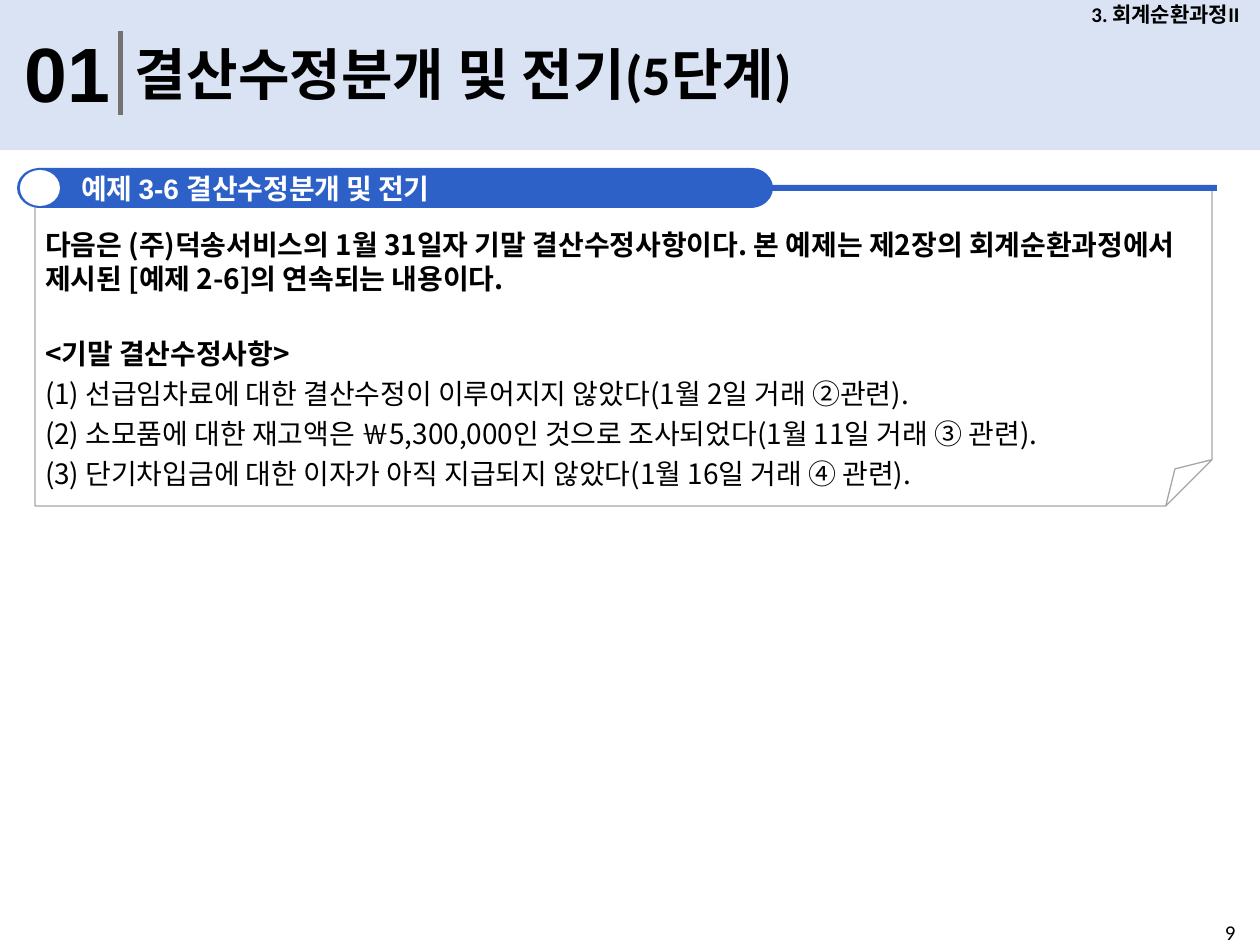
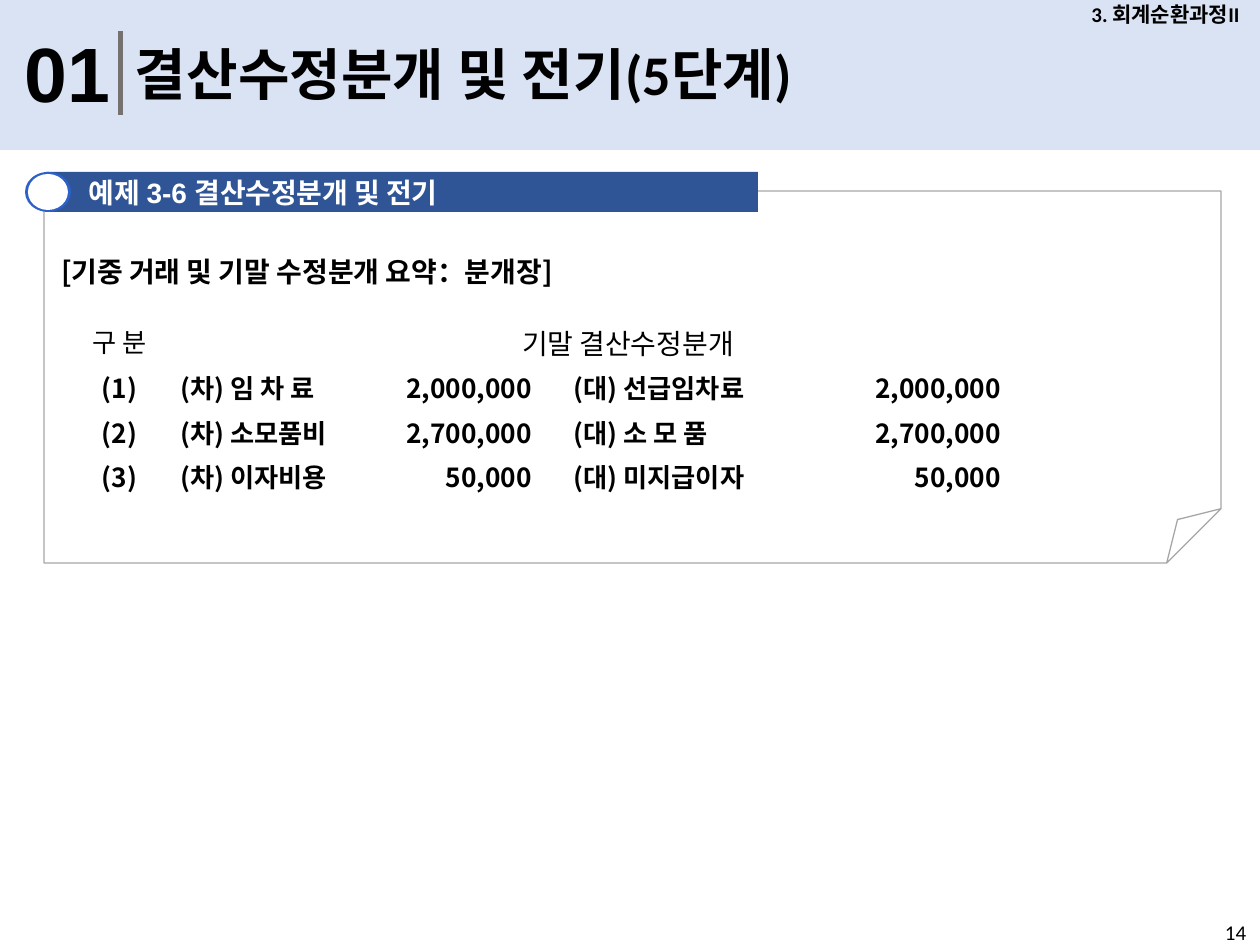
from dataclasses import dataclass
from typing import Any, Optional

import pptx
import pptx.dml.color
import pptx.enum.shapes
import pptx.enum.text
import pptx.oxml
import pptx.oxml.ns
import pptx.util

PX_PER_INCH = 126
SLIDE_WIDTH, SLIDE_HEIGHT = 1260, 945
BLACK, WHITE = "000000", "FFFFFF"
BAND, DIVIDER, OUTLINE = "DAE3F3", "767171", "A6A6A6"
BLUE, NAVY = "2D61C8", "2F5597"
HEAD_FONT, NUMBER_FONT, BODY_FONT = "Calibri", "Arial", "Noto Sans CJK KR"
NO_GRID_STYLE = "{2D5ABB26-0587-4C30-8999-92F81FD0307C}"

SHAPE = pptx.enum.shapes.MSO_SHAPE
ALIGN = pptx.enum.text.PP_ALIGN
ANCHOR = pptx.enum.text.MSO_ANCHOR


@dataclass(frozen=True)
class Box:
    left: int
    top: int
    width: int
    height: int


@dataclass(frozen=True)
class Insets:
    left: int = 13
    top: int = 6
    right: int = 13
    bottom: int = 6


@dataclass(frozen=True)
class Span:
    text: str
    size: float = 16
    bold: bool = False
    font: str = BODY_FONT
    color: str = BLACK


@dataclass(frozen=True)
class Para:
    spans: tuple[Span, ...]
    align: Any = ALIGN.LEFT
    pitch: Optional[int] = None
    before: int = 0


@dataclass(frozen=True)
class Example:
    """A titled note: its heading starts at (left, top), its sheet is a folded page."""
    left: int
    top: int
    banner_color: str
    sheet: Box
    sheet_insets: Insets
    paras: tuple[Para, ...]


@dataclass(frozen=True)
class Entry:
    number: str
    debit: str
    credit: str
    amount: str


def px(length: float) -> int:
    return round(length * pptx.util.Inches(1) / PX_PER_INCH)


def rgb(color: str) -> pptx.dml.color.RGBColor:
    return pptx.dml.color.RGBColor.from_string(color)


def place(box: Box) -> tuple[int, int, int, int]:
    return px(box.left), px(box.top), px(box.width), px(box.height)


def write(frame, paras: tuple[Para, ...], insets: Insets = Insets(),
          anchor=ANCHOR.TOP, wrap: bool = True) -> None:
    frame.word_wrap = wrap
    frame.vertical_anchor = anchor
    frame.margin_left, frame.margin_top = px(insets.left), px(insets.top)
    frame.margin_right, frame.margin_bottom = px(insets.right), px(insets.bottom)
    for index, item in enumerate(paras):
        para = frame.add_paragraph() if index else frame.paragraphs[0]
        para.alignment = item.align
        if item.pitch:
            para.line_spacing = pptx.util.Emu(px(item.pitch))
        if item.before:
            para.space_before = pptx.util.Emu(px(item.before))
        for span in item.spans:
            add_span(para, span)


def add_span(para, span: Span) -> None:
    run = para.add_run()
    run.text = span.text
    run.font.size = pptx.util.Pt(span.size)
    run.font.bold = span.bold
    run.font.name = span.font
    run.font.color.rgb = rgb(span.color)
    east_asian = pptx.oxml.parse_xml(
        f'<a:ea {pptx.oxml.ns.nsdecls("a")} typeface="{span.font}"/>')
    run.font._element.find(pptx.oxml.ns.qn("a:latin")).addnext(east_asian)


def add_shape(page, kind, box: Box, fill: Optional[str] = None, line: Optional[str] = None):
    shape = page.shapes.add_shape(kind, *place(box))
    shape.shadow.inherit = False
    if fill:
        shape.fill.solid()
        shape.fill.fore_color.rgb = rgb(fill)
    else:
        shape.fill.background()
    if line:
        shape.line.color.rgb = rgb(line)
        shape.line.width = pptx.util.Pt(0.75)
    else:
        shape.line.fill.background()
    return shape


def add_text(page, box: Box, para: Para, **layout) -> None:
    write(page.shapes.add_textbox(*place(box)).text_frame, (para,), **layout)


def add_page(deck, number: int):
    """Blank slide with the title band, chapter name and page number."""
    page = deck.slides.add_slide(deck.slide_layouts[6])
    add_shape(page, SHAPE.RECTANGLE, Box(0, 0, SLIDE_WIDTH, 150), BAND)
    add_text(page, Box(12, 20, 115, 106),
             Para((Span("01", 44, True, NUMBER_FONT),)), wrap=False)
    add_shape(page, SHAPE.RECTANGLE, Box(118, 31, 5, 84), DIVIDER)
    add_text(page, Box(122, 34, 809, 81),
             Para((Span("결산수정분개 및 전기(5단계)", 32, True, HEAD_FONT),)), wrap=False)
    add_text(page, Box(1071, 0, 189, 29),
             Para((Span("3. 회계순환과정II", 12, True, HEAD_FONT),), ALIGN.CENTER),
             anchor=ANCHOR.MIDDLE)
    add_text(page, Box(1212, 914, 48, 31),
             Para((Span(str(number), 12, font=HEAD_FONT),)), wrap=False)
    return page


def add_sheet(page, example: Example) -> None:
    sheet = add_shape(page, SHAPE.FOLDED_CORNER, example.sheet, line=OUTLINE)
    fold = pptx.oxml.parse_xml(
        f'<a:gd {pptx.oxml.ns.nsdecls("a")} name="adj" fmla="val 14600"/>')
    geometry = sheet._element.spPr.find(pptx.oxml.ns.qn("a:prstGeom"))
    geometry.get_or_add_avLst().append(fold)
    write(sheet.text_frame, example.paras, example.sheet_insets)


def add_heading(page, example: Example) -> None:
    """Banner with the example's name and a ring at its left end."""
    left, top = example.left, example.top
    banner = add_shape(page, SHAPE.RECTANGLE, Box(left + 21, top, 712, 40),
                       example.banner_color)
    parts = (("예제 ", HEAD_FONT), ("3-6 ", NUMBER_FONT), ("결산수정분개 및 전기", HEAD_FONT))
    spans = tuple(Span(text, 16, True, font, WHITE) for text, font in parts)
    write(banner.text_frame, (Para(spans),), Insets(left=43), ANCHOR.MIDDLE)
    add_shape(page, SHAPE.OVAL, Box(left, top, 46, 40), BLUE)
    add_shape(page, SHAPE.OVAL, Box(left + 3, top + 2, 40, 36), WHITE)


def add_tabs(para, stops: tuple[tuple[int, str], ...]) -> None:
    tabs = "".join(f'<a:tab pos="{px(at)}" algn="{align}"/>' for at, align in stops)
    para._p.get_or_add_pPr().append(pptx.oxml.parse_xml(
        f'<a:tabLst {pptx.oxml.ns.nsdecls("a")}>{tabs}</a:tabLst>'))


def add_journal(page, entries: tuple[Entry, ...]) -> None:
    row_height = 44
    box = Box(71, 316, 1017, row_height * (len(entries) + 1))
    table = page.shapes.add_table(len(entries) + 1, 2, *place(box)).table
    table.first_row = table.horz_banding = False
    table._tbl.tblPr.find(pptx.oxml.ns.qn("a:tableStyleId")).text = NO_GRID_STYLE
    for column, width in zip(table.columns, (97, 920)):
        column.width = px(width)
    rows = [(Span("구 분", 15), Span("기말 결산수정분개", 16))]
    rows += [(Span(entry.number, 15, True),
              Span(f"(차) {entry.debit}\t{entry.amount}\t(대) {entry.credit}\t{entry.amount}",
                   15, True))
             for entry in entries]
    for row_index, row in enumerate(rows):
        table.rows[row_index].height = px(row_height)
        for column_index, span in enumerate(row):
            cell = table.cell(row_index, column_index)
            cell.fill.background()
            cell.vertical_anchor = ANCHOR.MIDDLE
            is_entry = row_index > 0 and column_index == 1
            para = cell.text_frame.paragraphs[0]
            if is_entry:
                add_tabs(para, ((351, "r"), (393, "l"), (820, "r")))
            para.alignment = ALIGN.LEFT if is_entry else ALIGN.CENTER
            add_span(para, span)


def adjustments_page(deck) -> None:
    intro = ("다음은 (주)덕송서비스의 1월 31일자 기말 결산수정사항이다. 본 예제는 제2장의 "
             "회계순환과정에서 제시된 [예제 2-6]의 연속되는 내용이다.")
    items = (
        "(1) 선급임차료에 대한 결산수정이 이루어지지 않았다(1월 2일 거래 ②관련).",
        "(2) 소모품에 대한 재고액은 ￦5,300,000인 것으로 조사되었다(1월 11일 거래 ③ 관련).",
        "(3) 단기차입금에 대한 이자가 아직 지급되지 않았다(1월 16일 거래 ④ 관련).",
    )
    paras = (
        Para((Span(intro, bold=True),), pitch=34),
        Para((Span("<기말 결산수정사항>", bold=True),), pitch=40, before=35),
        *(Para((Span(item),), pitch=40) for item in items),
    )
    example = Example(17, 168, BLUE, Box(35, 189, 1177, 317), Insets(10, 38, 10, 5), paras)
    page = add_page(deck, 9)
    add_sheet(page, example)
    add_shape(page, SHAPE.RECTANGLE, Box(42, 185, 1175, 6), BLUE)
    add_shape(page, SHAPE.OVAL, Box(728, 168, 45, 40), BLUE)
    add_heading(page, example)


def journal_page(deck) -> None:
    summary = Para((Span("[기중 거래 및 기말 수정분개 요약：분개장]", bold=True),), pitch=34)
    example = Example(25, 172, NAVY, Box(44, 191, 1177, 372), Insets(17, 63, 10, 5), (summary,))
    page = add_page(deck, 14)
    add_sheet(page, example)
    add_heading(page, example)
    add_journal(page, (
        Entry("(1)", "임 차 료", "선급임차료", "2,000,000"),
        Entry("(2)", "소모품비", "소 모 품", "2,700,000"),
        Entry("(3)", "이자비용", "미지급이자", "50,000"),
    ))


def main() -> None:
    deck = pptx.Presentation()
    deck.slide_width, deck.slide_height = px(SLIDE_WIDTH), px(SLIDE_HEIGHT)
    adjustments_page(deck)
    journal_page(deck)
    deck.save("out.pptx")


if __name__ == "__main__":
    main()
